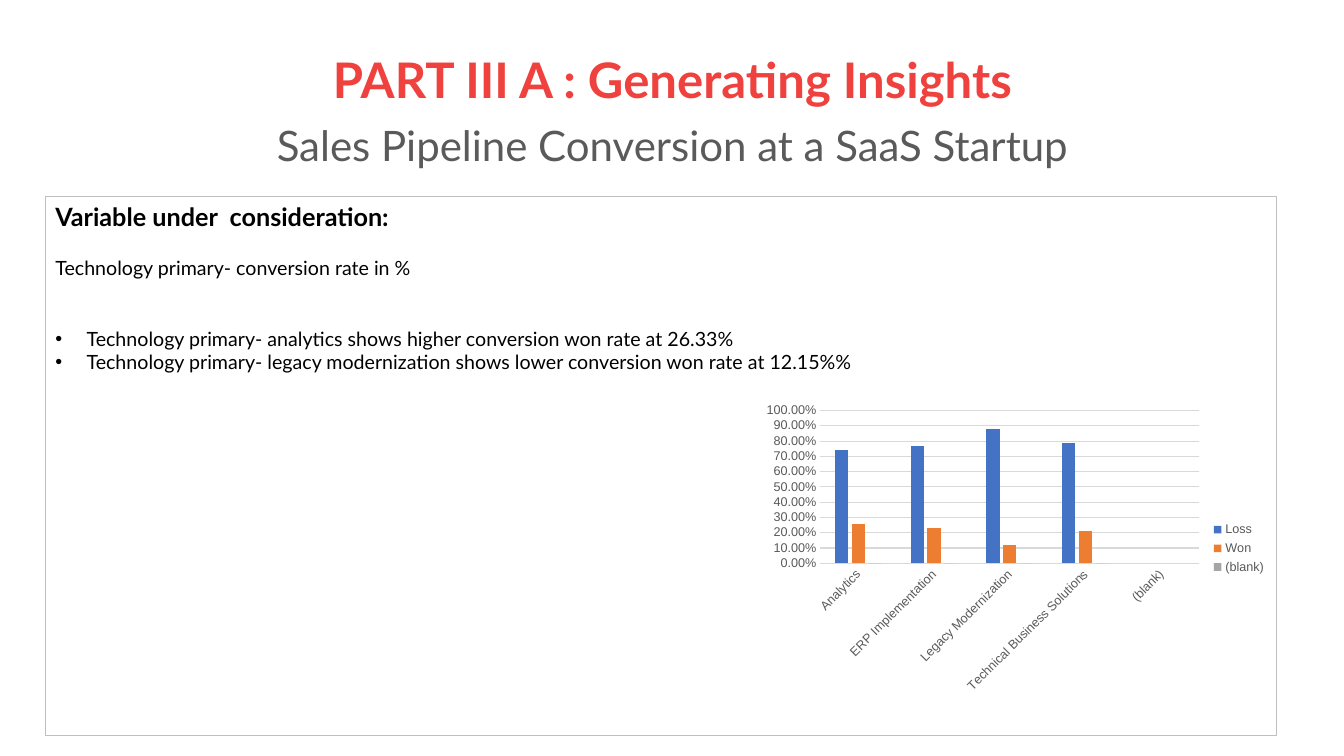
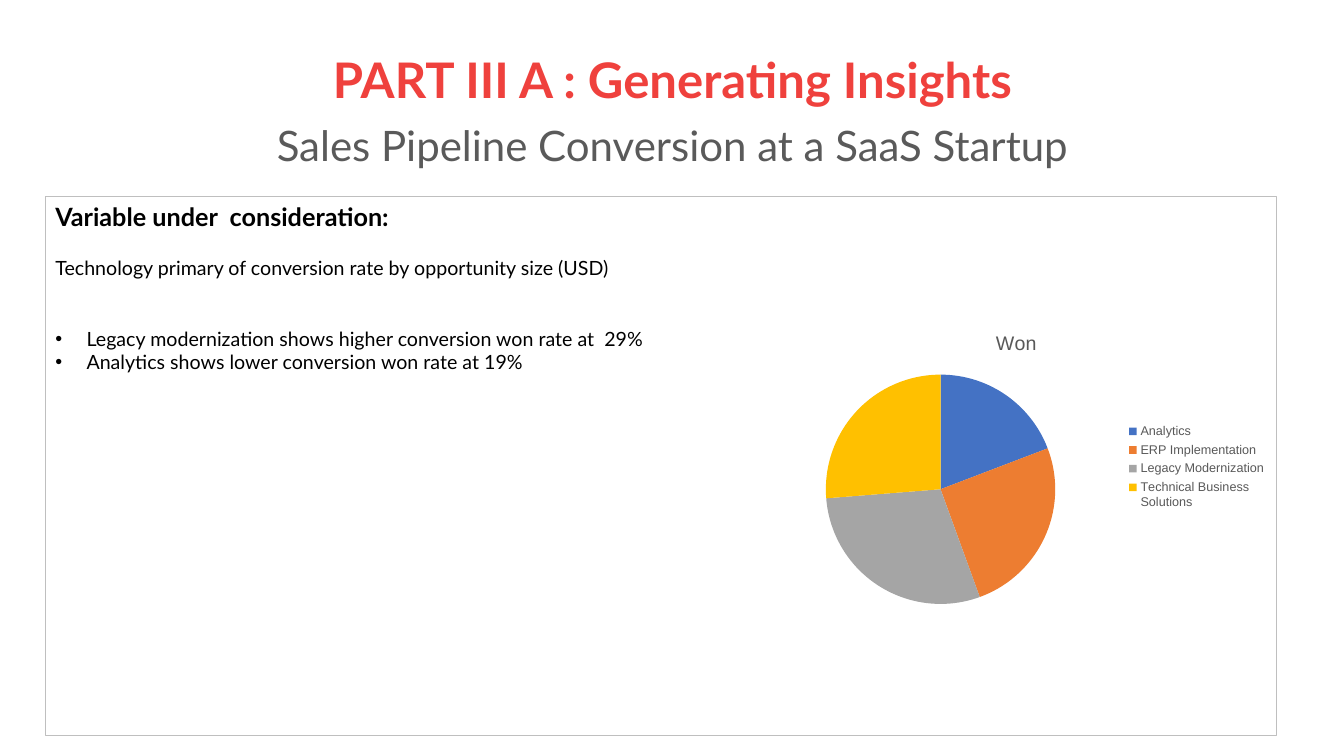
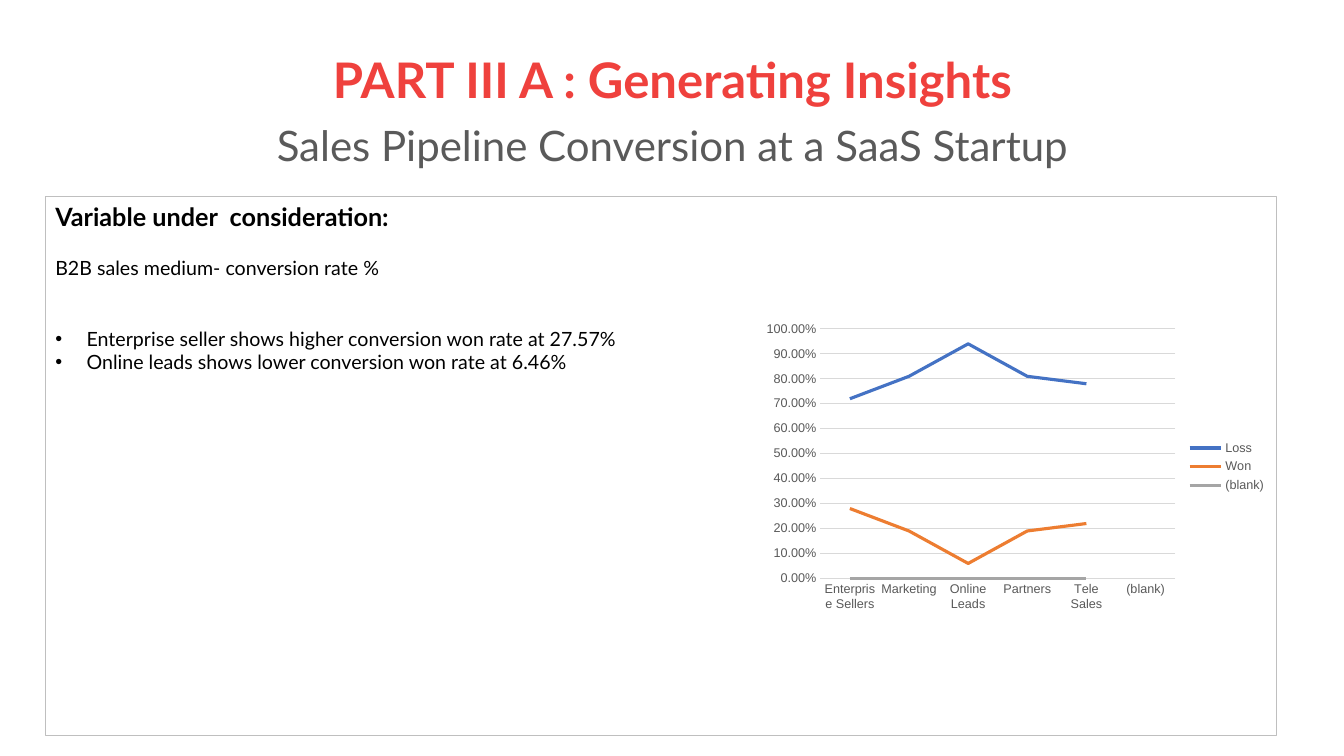
from dataclasses import dataclass
from typing import Optional

from lxml import etree
from pptx import Presentation
from pptx.chart.data import CategoryChartData
from pptx.dml.color import RGBColor
from pptx.enum.chart import XL_CHART_TYPE, XL_LEGEND_POSITION, XL_TICK_MARK
from pptx.enum.shapes import MSO_SHAPE
from pptx.enum.text import MSO_ANCHOR, PP_ALIGN
from pptx.oxml.ns import qn
from pptx.util import Inches, Pt

COLUMN = XL_CHART_TYPE.COLUMN_CLUSTERED
PIE = XL_CHART_TYPE.PIE
LINE = XL_CHART_TYPE.LINE
RIGHT = XL_LEGEND_POSITION.RIGHT
NO_TICK = XL_TICK_MARK.NONE
RECTANGLE = MSO_SHAPE.RECTANGLE
TOP, MIDDLE = MSO_ANCHOR.TOP, MSO_ANCHOR.MIDDLE
LEFT, CENTER = PP_ALIGN.LEFT, PP_ALIGN.CENTER


@dataclass(frozen=True)
class Theme:
    font: str = "Lato"
    chart_font: str = "Arial"
    title: str = "EF413D"
    muted: str = "5A5A5A"
    text: str = "000000"
    border: str = "BFBFBF"
    chart_text: str = "595959"
    grid: str = "D9D9D9"
    accents: tuple[str, ...] = ("4472C4", "ED7D31", "A5A5A5", "FFC000")
    title_size: int = 35
    subtitle_size: int = 30
    heading_size: int = 18
    body_size: int = 14
    chart_title_size: int = 14
    chart_size: int = 10
    label_size: int = 9
    hairline: float = 0.75
    series_line: float = 2.25


@dataclass(frozen=True)
class TextLine:
    text: str
    size: int
    color: str
    bold: bool = False
    before: int = 0
    bullet: bool = False


@dataclass(frozen=True)
class ChartSpec:
    kind: int
    top: float
    categories: tuple[str, ...]
    series: dict[str, tuple[Optional[float], ...]]
    label_rotation: int = 0


@dataclass(frozen=True)
class Insight:
    variable: str
    findings: tuple[str, ...]
    chart: ChartSpec


THEME = Theme()
TECHNOLOGIES = ("Analytics", "ERP Implementation", "Legacy Modernization",
                "Technical Business Solutions")

INSIGHTS = (
    Insight(
        "Technology primary- conversion rate in %",
        ("Technology primary- analytics shows higher conversion won rate at 26.33%",
         "Technology primary- legacy modernization shows lower conversion won rate at 12.15%%"),
        ChartSpec(COLUMN, 3.94, TECHNOLOGIES + ("(blank)",), {
            "Loss": (0.74, 0.77, 0.88, 0.79, None),
            "Won": (0.26, 0.23, 0.12, 0.21, None),
            "(blank)": (0, 0, 0, 0, None),
        }, label_rotation=-45),
    ),
    Insight(
        "Technology primary of conversion rate by opportunity size (USD)",
        ("Legacy modernization shows higher conversion won rate at  29%",
         "Analytics shows lower conversion won rate at 19%"),
        ChartSpec(PIE, 3.13, TECHNOLOGIES, {"Won": (19, 25, 29, 26)}),
    ),
    Insight(
        "B2B sales medium- conversion rate %",
        ("Enterprise seller shows higher conversion won rate at 27.57%",
         "Online leads shows lower conversion won rate at 6.46%"),
        ChartSpec(LINE, 3.13, ("Enterprise Sellers", "Marketing", "Online Leads",
                               "Partners", "Tele Sales", "(blank)"), {
            "Loss": (0.72, 0.81, 0.94, 0.81, 0.78, None),
            "Won": (0.28, 0.19, 0.06, 0.19, 0.22, None),
            "(blank)": (0, 0, 0, 0, 0, None),
        }),
    ),
)


def rgb(color: str) -> RGBColor:
    return RGBColor.from_string(color)


def style_font(font, name: str, size: int, color: str, bold: bool = False) -> None:
    font.name = name
    font.size = Pt(size)
    font.bold = bold
    font.color.rgb = rgb(color)


def add_bullet(p) -> None:
    pPr = p._p.get_or_add_pPr()
    pPr.set("marL", str(Inches(0.31)))
    pPr.set("indent", str(-Inches(0.31)))
    etree.SubElement(pPr, qn("a:buFont")).set("typeface", "Arial")
    etree.SubElement(pPr, qn("a:buChar")).set("char", "•")


def write_lines(tf, lines: list[TextLine], align, spacing: float = 1.0) -> None:
    tf.word_wrap = True
    for i, line in enumerate(lines):
        p = tf.add_paragraph() if i else tf.paragraphs[0]
        p.text = line.text
        p.alignment = align
        p.line_spacing = spacing
        p.space_before = Pt(line.before)
        style_font(p.runs[0].font, THEME.font, line.size, line.color, line.bold)
        if line.bullet:
            add_bullet(p)


def add_title(slide) -> None:
    sp = slide.shapes.add_textbox(Inches(0.92), Inches(0.4), Inches(11.5), Inches(1.45))
    tf = sp.text_frame
    tf.vertical_anchor = MIDDLE
    write_lines(tf, [
        TextLine("PART III A : Generating Insights", THEME.title_size, THEME.title, bold=True),
        TextLine("Sales Pipeline Conversion at a SaaS Startup", THEME.subtitle_size,
                 THEME.muted, before=11),
    ], CENTER, 0.9)


def add_panel(slide, insight: Insight) -> None:
    sp = slide.shapes.add_shape(RECTANGLE, Inches(0.45), Inches(1.95),
                                Inches(12.21), Inches(5.35))
    sp.shadow.inherit = False
    sp.fill.background()
    sp.line.color.rgb = rgb(THEME.border)
    sp.line.width = Pt(THEME.hairline)
    tf = sp.text_frame
    tf.vertical_anchor = TOP
    lines = [
        TextLine("Variable under  consideration:", THEME.heading_size, THEME.text, bold=True),
        TextLine(insight.variable, THEME.body_size, THEME.text, before=17),
    ]
    lines += [TextLine(finding, THEME.body_size, THEME.text, before=0 if i else 34, bullet=True)
              for i, finding in enumerate(insight.findings)]
    write_lines(tf, lines, LEFT)


def style_axes(chart, label_rotation: int) -> None:
    category, value = chart.category_axis, chart.value_axis
    for axis in (category, value):
        axis.major_tick_mark = axis.minor_tick_mark = NO_TICK
        style_font(axis.tick_labels.font, THEME.chart_font, THEME.label_size, THEME.chart_text)
    value.minimum_scale, value.maximum_scale, value.major_unit = 0, 1, 0.1
    value.tick_labels.number_format = "0.00%"
    value.tick_labels.number_format_is_linked = False
    value.format.line.fill.background()
    value.has_major_gridlines = True
    for line in (category.format.line, value.major_gridlines.format.line):
        line.color.rgb = rgb(THEME.grid)
        line.width = Pt(THEME.hairline)
    body = category._element.find(qn("c:txPr")).find(qn("a:bodyPr"))
    body.set("rot", str(label_rotation * 60000))
    body.set("vert", "horz")


def style_series(chart, spec: ChartSpec) -> None:
    plot = chart.plots[0]
    plot.vary_by_categories = spec.kind == PIE
    if spec.kind == PIE:
        points = plot.series[0].points
        for i, color in enumerate(THEME.accents):
            fill = points[i].format.fill
            fill.solid()
            fill.fore_color.rgb = rgb(color)
        return
    if spec.kind == COLUMN:
        plot.gap_width, plot.overlap = 219, -27
    for series, color in zip(plot.series, THEME.accents):
        if spec.kind == LINE:
            series.smooth = False
            series.format.line.color.rgb = rgb(color)
            series.format.line.width = Pt(THEME.series_line)
        else:
            series.format.fill.solid()
            series.format.fill.fore_color.rgb = rgb(color)


def add_chart(slide, spec: ChartSpec) -> None:
    data = CategoryChartData(number_format="General" if spec.kind == PIE else "0.00%")
    data.categories = spec.categories
    for name, values in spec.series.items():
        data.add_series(name, values)
    chart = slide.shapes.add_chart(spec.kind, Inches(7.5), Inches(spec.top),
                                   Inches(5.16), Inches(3), data).chart
    style_font(chart.font, THEME.chart_font, THEME.chart_size, THEME.text)
    chart.has_legend = True
    chart.legend.position = RIGHT
    chart.legend.include_in_layout = False
    style_font(chart.legend.font, THEME.chart_font, THEME.label_size, THEME.chart_text)
    chart.has_title = spec.kind == PIE
    if spec.kind == PIE:
        p = chart.chart_title.text_frame.paragraphs[0]
        p.text = next(iter(spec.series))
        style_font(p.runs[0].font, THEME.chart_font, THEME.chart_title_size, THEME.chart_text)
    else:
        style_axes(chart, spec.label_rotation)
    style_series(chart, spec)


def main() -> None:
    prs = Presentation()
    prs.slide_width, prs.slide_height = Inches(13.33), Inches(7.5)
    for insight in INSIGHTS:
        slide = prs.slides.add_slide(prs.slide_layouts[6])
        add_title(slide)
        add_panel(slide, insight)
        add_chart(slide, insight.chart)
    prs.save("out.pptx")


if __name__ == "__main__":
    main()
